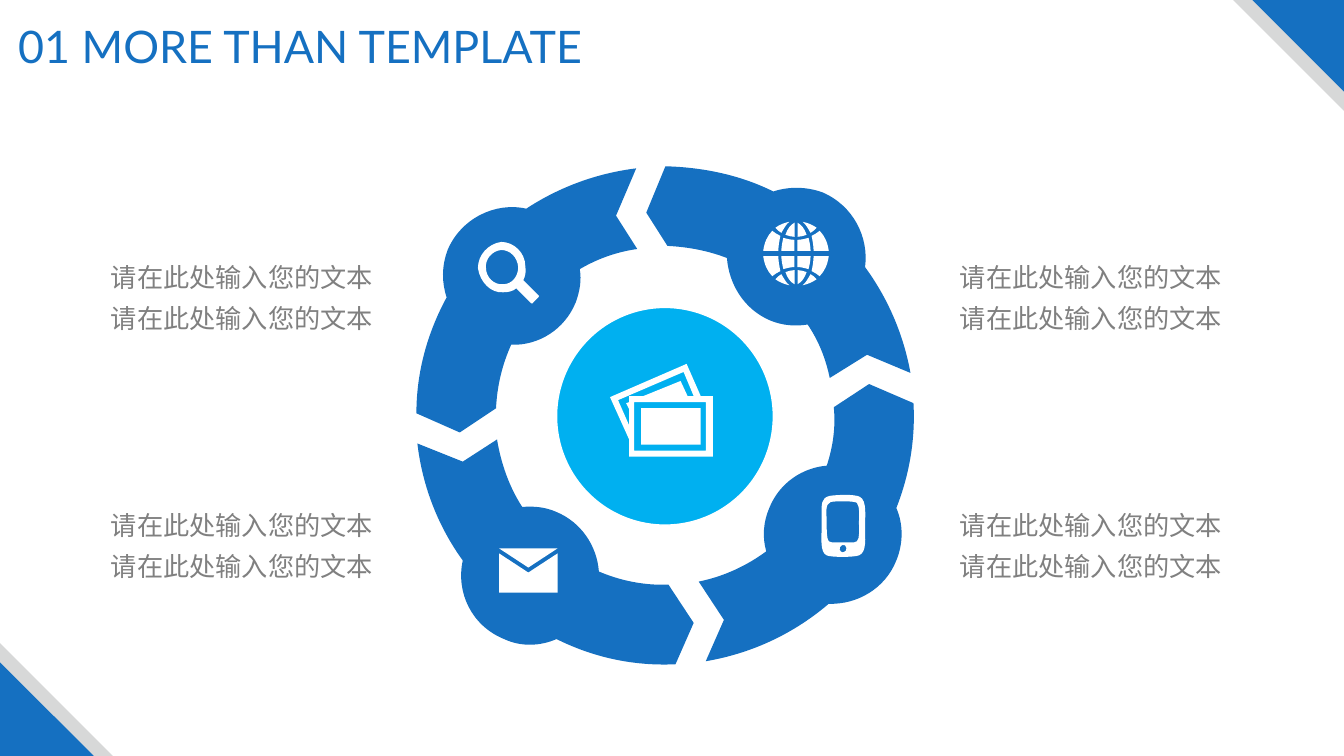
import pptx
import pptx.util
import pptx.dml.color
import pptx.enum.shapes
import pptx.enum.text
import pptx.oxml.ns
import lxml.etree

RGBColor = pptx.dml.color.RGBColor
SHAPE = pptx.enum.shapes.MSO_SHAPE
ALIGN = pptx.enum.text.PP_ALIGN
qn = pptx.oxml.ns.qn

BLUE = RGBColor(0x15, 0x70, 0xC1)
SKY = RGBColor(0x00, 0xB0, 0xF0)
SILVER = RGBColor(0xD7, 0xD8, 0xD8)
GRAY = RGBColor(0x80, 0x80, 0x80)
WHITE = RGBColor(0xFF, 0xFF, 0xFF)

WIDTH, HEIGHT = 13.33, 7.5
UNIT = pptx.util.Inches(1) / 100  # outlines are drawn on a grid of 100 units per inch

TITLE = "01 MORE THAN TEMPLATE"
CAPTION = ["请在此处输入您的文本"] * 2
CAPTION_COLUMNS = (0.94, 9.36)
CAPTION_ROWS = (2.45, 4.91)

# colour and size of each corner triangle: (top right, bottom left), back to front
CORNERS = [(SILVER, 1.1, 1.12), (BLUE, 0.91, 0.93)]

RING = [
    "M 632 247 L 611 214 L 631 167 C 591 172 554 186 522 207 C 491 200 457 217 444 248 "
    "C 438 264 438 280 443 295 C 424 330 413 369 413 410 L 456 429 L 492 405 "
    "C 493 383 498 362 507 342 C 534 343 560 327 571 300 C 575 289 577 278 575 267 "
    "C 592 257 611 250 632 247",
    "M 858 265 C 862 235 846 204 816 191 C 800 185 782 185 767 190 C 735 174 698 166 660 165 "
    "L 641 211 L 662 244 C 683 245 703 249 721 256 C 723 282 738 307 764 318 "
    "C 776 323 789 324 801 322 C 812 338 819 356 823 375 L 860 352 L 903 370 "
    "C 896 331 880 295 858 265",
    "M 889 556 C 896 539 896 520 889 504 C 902 471 908 436 906 400 L 862 381 L 827 404 "
    "C 829 424 826 444 820 462 C 796 464 773 479 763 504 C 757 518 756 533 760 547 "
    "C 741 561 718 572 693 577 L 718 615 L 700 656 C 747 648 788 628 822 599 "
    "C 850 600 878 584 889 556",
    "M 663 580 C 639 581 615 576 594 567 C 592 541 576 518 552 508 C 541 503 529 502 518 503 "
    "C 505 483 497 460 493 436 L 459 458 L 414 440 C 419 483 435 523 459 556 "
    "C 452 588 468 621 500 634 C 517 642 536 641 552 634 C 588 652 628 661 670 659 L 688 618",
]
ENVELOPE = [
    "M 553 588 L 495 588 L 495 549 L 524 568 L 553 549",
    "M 553 544 L 495 544 L 524 563",
]
PHONE = (
    "M 823 492 C 829 491 848 490 853 493 C 860 497 858 512 858 522 C 858 533 860 548 852 551 "
    "C 847 553 824 553 820 551 C 813 548 815 533 815 522 L 815 510 C 815 501 814 494 823 492 "
    "M 820 519 C 820 526 820 535 822 537 C 824 539 833 538 836 538 C 840 538 848 539 850 537 "
    "C 853 534 852 525 852 519 C 852 512 853 503 850 499 C 848 497 830 497 824 498 "
    "C 818 500 820 509 820 519 "
    "M 836 548 C 841 548 841 539 835 541 C 831 543 833 548 836 548"
)
MAGNIFIER = (
    "M 534 293 L 519 278 C 521 274 522 270 521 264 C 521 251 510 240 497 240 "
    "C 484 242 474 253 474 266 C 476 280 487 291 499 290 C 504 290 509 289 512 286 L 527 301 "
    "C 528 301 529 301 529 300 L 534 295 C 535 294 535 293 534 293 "
    "M 482 266 C 481 257 488 249 497 248 C 506 248 513 255 514 265 C 514 274 508 282 499 282 "
    "C 490 283 482 275 482 266"
)
PHOTOS = (
    "M 695 393 L 681 361 L 605 394 L 624 436 L 624 453 L 707 453 L 707 393 "
    "M 624 399 L 621 400 L 624 406 L 624 422 L 613 397 L 678 369 L 688 393 L 682 393 "
    "L 675 378 L 638 393 L 624 393 "
    "M 700 447 L 629 447 L 629 399 L 700 399 "
    "M 695 405 L 636 405 L 636 441 L 695 441"
)
# top right quarter of the globe, mirrored about its centre
GLOBE_CENTER = (789.5, 251.5)
GLOBE_QUARTER = [
    "M 791 221 L 791 235 C 794 235 797 234 800 233 C 798 227 795 223 791 221",
    "M 791 238 L 791 249 L 804 249 C 804 245 803 240 802 236 C 798 237 795 238 791 238",
    "M 796 220 C 799 222 801 226 804 231 C 806 230 808 228 810 226 C 806 223 801 221 796 220",
    "M 805 234 C 806 239 807 244 807 249 L 822 249 C 821 241 818 234 813 229 "
    "C 810 231 808 233 805 234",
]


def paint(shape, color, line=None):
    shape.shadow.inherit = False
    shape.fill.solid()
    shape.fill.fore_color.rgb = color
    if line is None:
        shape.line.fill.background()
    else:
        shape.line.color.rgb = line
        shape.line.width = pptx.util.Pt(1)


def bend(shape, outline):
    """Join the three points of each C command into one curve."""
    path_element = next(shape._element.iter(qn("a:path")))
    lines = iter(path_element.findall(qn("a:lnTo")))
    for command in outline.split():
        if command == "L":
            next(lines)
        elif command == "C":
            controls = [next(lines) for _ in range(3)]
            curve = lxml.etree.Element(qn("a:cubicBezTo"))
            controls[0].addprevious(curve)
            for control in controls:
                curve.append(control[0])
                path_element.remove(control)


def add_outline(shapes, outline, color, mirror_x=False, mirror_y=False):
    """Draw an outline of M, L and C commands as one closed shape."""
    def place(x, y):
        x = 2 * GLOBE_CENTER[0] - x if mirror_x else x
        y = 2 * GLOBE_CENTER[1] - y if mirror_y else y
        return x * UNIT, y * UNIT

    builder = None
    for contour in outline.split("M")[1:]:
        numbers = [float(token) for token in contour.split() if token.isdigit()]
        start, *points = [place(*pair) for pair in zip(numbers[::2], numbers[1::2])]
        if builder is None:
            builder = shapes.build_freeform(*start, scale=1.0)
        else:
            builder.move_to(*start)
        builder.add_line_segments(points, close=True)
    shape = builder.convert_to_shape()
    bend(shape, outline)
    paint(shape, color)


def add_preset(shapes, kind, box, color, line=None, rotation=0):
    shape = shapes.add_shape(kind, *map(pptx.util.Inches, box))
    shape.rotation = rotation
    paint(shape, color, line)


def write(shape, lines, box, size, font, color, spacing=1.0, wrap=True):
    shape.left, shape.top, shape.width, shape.height = map(pptx.util.Inches, box)
    frame = shape.text_frame
    frame.auto_size = pptx.enum.text.MSO_AUTO_SIZE.NONE
    frame.word_wrap = wrap
    for index, line in enumerate(lines):
        paragraph = frame.add_paragraph() if index else frame.paragraphs[0]
        paragraph.alignment = ALIGN.CENTER
        paragraph.line_spacing = spacing
        run = paragraph.add_run()
        run.text = line
        run.font.size = pptx.util.Pt(size)
        run.font.color.rgb = color
        run.font.name = font
        east_asian = lxml.etree.SubElement(run._r.get_or_add_rPr(), qn("a:ea"))
        east_asian.set("typeface", font)


def main():
    presentation = pptx.Presentation()
    presentation.slide_width = pptx.util.Inches(WIDTH)
    presentation.slide_height = pptx.util.Inches(HEIGHT)
    slide = presentation.slides.add_slide(presentation.slide_layouts[5])
    shapes = slide.shapes

    write(shapes.title, [TITLE], (0.02, 0.13, 5.92, 0.64), 32, "Lato", BLUE, wrap=False)
    for color, top_right, bottom_left in CORNERS:
        add_preset(shapes, SHAPE.RIGHT_TRIANGLE,
                   (WIDTH - top_right, 0, top_right, top_right), color, rotation=180)
        add_preset(shapes, SHAPE.RIGHT_TRIANGLE,
                   (0, HEIGHT - bottom_left, bottom_left, bottom_left), color)

    add_preset(shapes, SHAPE.OVAL, (5.52, 3.05, 2.15, 2.16), SKY, line=WHITE)
    for segment in RING:
        add_outline(shapes, segment, BLUE)
    for icon in (PHONE, MAGNIFIER, PHOTOS, *ENVELOPE):
        add_outline(shapes, icon, WHITE)
    globe = shapes.add_group_shape()
    for mirror_x in (False, True):
        for mirror_y in (False, True):
            for cell in GLOBE_QUARTER:
                add_outline(globe.shapes, cell, WHITE, mirror_x, mirror_y)

    for top in CAPTION_ROWS:
        for left in CAPTION_COLUMNS:
            write(shapes.add_textbox(0, 0, 0, 0), CAPTION, (left, top, 2.92, 0.92),
                  18.7, "Noto Sans CJK SC", GRAY, spacing=1.3)

    presentation.save("out.pptx")


if __name__ == "__main__":
    main()
